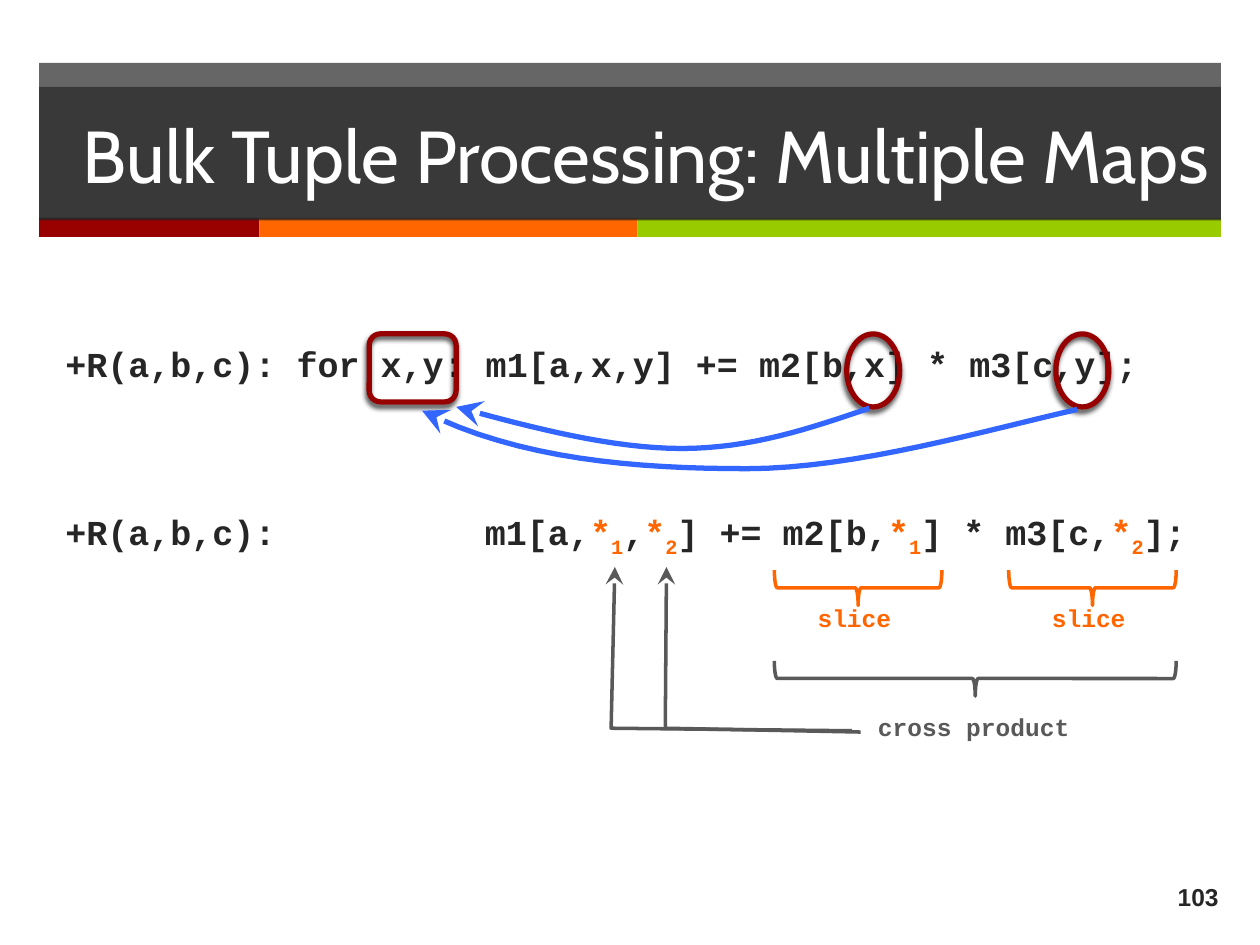
"""Build the slide on bulk tuple processing with multiple maps."""
from lxml import etree
from pptx import Presentation
from pptx.dml.color import RGBColor
from pptx.enum.shapes import MSO_SHAPE as Shape
from pptx.enum.text import MSO_ANCHOR as Anchor, PP_ALIGN as Align
from pptx.oxml.ns import qn
from pptx.util import Inches, Pt

INK = RGBColor(0x26, 0x26, 0x26)
WHITE = RGBColor(0xFF, 0xFF, 0xFF)
RED = RGBColor(0x99, 0x00, 0x00)
DARK_RED = RGBColor(0x96, 0x00, 0x00)
ORANGE = RGBColor(0xFF, 0x66, 0x00)
GREEN = RGBColor(0x99, 0xCC, 0x00)
BLUE = RGBColor(0x33, 0x66, 0xFF)
GRAY = RGBColor(0x59, 0x59, 0x59)
CODE = "Courier New"


def paint(shape, fill=None, line=None, width=2):
    shape.shadow.inherit = False
    if fill is None:
        shape.fill.background()
    else:
        shape.fill.solid()
        shape.fill.fore_color.rgb = fill
    if line is None:
        shape.line.fill.background()
    else:
        shape.line.color.rgb = line
        shape.line.width = Pt(width)


def write(para, text, size, color, face=CODE, bold=True):
    span = para.add_run()
    span.text = text
    span.font.name = face
    span.font.size = Pt(size)
    span.font.bold = bold
    span.font.color.rgb = color
    return span


deck = Presentation()
deck.slide_width, deck.slide_height = Inches(10), Inches(7.5)
page = deck.slides.add_slide(deck.slide_layouts[6])
shapes = page.shapes

number = shapes.add_textbox(Inches(9.08), Inches(6.92), Inches(0.69), Inches(0.39))
number.text_frame.word_wrap = True
number.text_frame.vertical_anchor = Anchor.MIDDLE
para = number.text_frame.paragraphs[0]
para.alignment = Align.RIGHT
write(para, "103", 14, INK, "Arial")

for left, width, color in ((0.31, 1.75, RED), (2.06, 3, ORANGE), (5.06, 4.63, GREEN)):
    stripe = shapes.add_shape(Shape.RECTANGLE, Inches(left), Inches(1.73), Inches(width), Inches(0.15))
    paint(stripe, color)

for top, height in ((0.5, 1.24), (0.69, 1.06)):
    title = shapes.add_shape(Shape.RECTANGLE, Inches(0.31), Inches(top), Inches(9.38), Inches(height))
    paint(title, INK)
    tint = title.fill._xPr.find(qn("a:solidFill"))[0]
    etree.SubElement(tint, qn("a:alpha"), val="70000")
title.text_frame.word_wrap = True
title.text_frame.vertical_anchor = Anchor.MIDDLE
para = title.text_frame.paragraphs[0]
para.alignment = Align.RIGHT
write(para, "Bulk Tuple Processing: Multiple Maps", 42, WHITE, "Cabin", False)

code = shapes.add_textbox(Inches(0.42), Inches(2.33), Inches(9.58), Inches(4.37))
code.text_frame.word_wrap = True
code.text_frame.margin_top = Inches(0.39)
para = code.text_frame.paragraphs[0]
write(para, "+R(a,b,c): for x,y: m1[a,x,y] += m2[b,x] * m3[c,y];", 20, INK)
para = code.text_frame.add_paragraph()
para.space_before = Pt(72)
tabs = etree.SubElement(para._p.get_or_add_pPr(), qn("a:tabLst"))
etree.SubElement(tabs, qn("a:tab"), pos=str(Inches(3.33)), algn="l")
pieces = (("+R(a,b,c):\tm1[a,", "1"), (",", "2"), ("] += m2[b,", "1"), ("] * m3[c,", "2"))
for text, index in pieces:
    write(para, text, 20, INK)
    write(para, "*", 20, ORANGE)
    subscript = write(para, index, 20, ORANGE)
    subscript.font._element.set("baseline", "-25000")
write(para, "];", 20, INK)

marks = (
    (Shape.OVAL, 6.72, 0.42, 0.58),
    (Shape.OVAL, 8.38, 0.42, 0.58),
    (Shape.ROUNDED_RECTANGLE, 2.93, 0.69, 0.54),
)
for kind, left, width, height in marks:
    mark = shapes.add_shape(kind, Inches(left), Inches(2.65), Inches(width), Inches(height))
    paint(mark, line=DARK_RED, width=3)
    effects = mark._element.spPr.find(qn("a:effectLst"))
    shadow = etree.SubElement(effects, qn("a:outerShdw"), blurRad=str(Pt(3)), dist=str(Pt(2)),
                              dir=str(110 * 60000), rotWithShape="0")
    shade = etree.SubElement(shadow, qn("a:srgbClr"), val="000000")
    etree.SubElement(shade, qn("a:alpha"), val="75000")

curves = (
    ((6.9, 3.24), (6.43, 3.4), (5.96, 3.56), (5.41, 3.56), (4.86, 3.56), (4.24, 3.4), (3.62, 3.23)),
    ((8.55, 3.25), (7.84, 3.41), (6.79, 3.72), (5.93, 3.72), (5.06, 3.72), (4.12, 3.65), (3.35, 3.26)),
)
STEPS = 16
arrows = []
for knots in curves:
    points = [knots[0]]
    for first in (0, 3):
        a, b, c, d = knots[first:first + 4]
        for step in range(1, STEPS + 1):
            t = step / STEPS
            u = 1 - t
            points.append(tuple(
                u**3 * a[i] + 3 * u * u * t * b[i] + 3 * u * t * t * c[i] + t**3 * d[i]
                for i in (0, 1)))
    arrows.append((points, BLUE, 3))
arrows.append((((6.83, 5.81), (5.28, 5.78), (5.29, 4.5)), GRAY, 2))
arrows.append((((6.76, 5.8), (4.85, 5.78), (4.88, 4.5)), GRAY, 2))

for points, color, width in arrows:
    corners = [(Inches(x), Inches(y)) for x, y in points]
    builder = shapes.build_freeform(*corners[0])
    builder.add_line_segments(corners[1:], close=False)
    arrow = builder.convert_to_shape()
    paint(arrow, line=color, width=width)
    etree.SubElement(arrow.line._ln, qn("a:tailEnd"), type="stealth", w="lg", len="lg")

braces = (
    (6.67, 4, 1.33, ORANGE, "slice", 6.39, 4.74, 0.79),
    (8.53, 4, 1.33, ORANGE, "slice", 8.25, 4.74, 0.79),
    (7.6, 3.79, 3.19, GRAY, "cross product", 6.87, 5.6, 1.73),
)
for left, top, span_length, color, text, label_left, label_top, label_width in braces:
    brace = shapes.add_shape(Shape.RIGHT_BRACE, Inches(left), Inches(top), Inches(0.28), Inches(span_length))
    brace.rotation = 90
    paint(brace, line=color)
    label = shapes.add_textbox(Inches(label_left), Inches(label_top), Inches(label_width), Inches(0.34))
    label.text_frame.word_wrap = False
    write(label.text_frame.paragraphs[0], text, 14, color)

deck.save("out.pptx")
